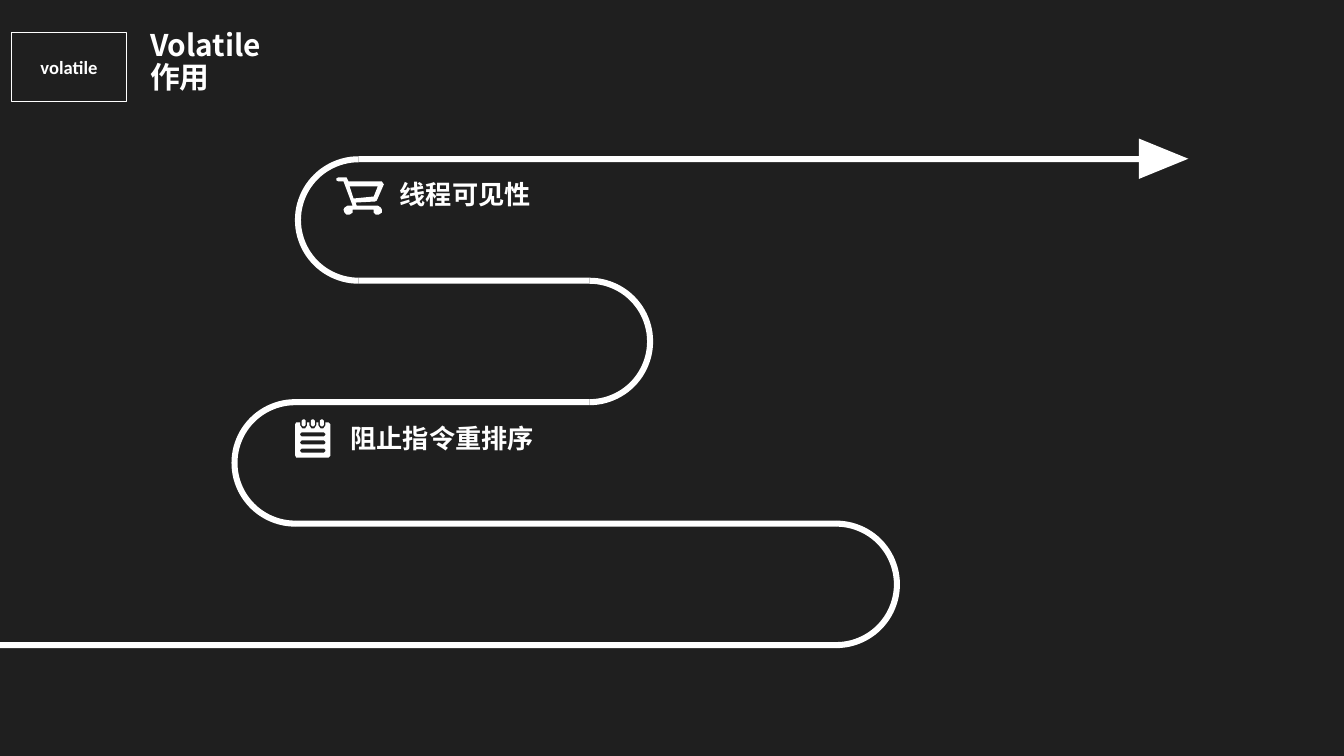
from math import cos, pi, sin

from pptx import Presentation
from pptx.dml.color import RGBColor
from pptx.enum.shapes import MSO_SHAPE as SHAPE
from pptx.enum.text import MSO_ANCHOR as ANCHOR, MSO_AUTO_SIZE as AUTO, PP_ALIGN as ALIGN
from pptx.oxml.ns import qn
from pptx.util import Inches, Pt

WHITE, DARK = "FFFFFF", "1F1F1F"
BAND = 0.06                                # thickness of the road
ROW_TOP, ROW_PITCH = 1.55, (6.37 - 1.55) / 4
ROAD_X = [11.37, 3.56, 5.85, 2.93, 8.3, 0]  # row ends, from the arrow back to the start


def rgb(value):
    return RGBColor.from_string(value)


def paint(s, color):
    s.shadow.inherit = False
    s.fill.solid()
    s.fill.fore_color.rgb = rgb(color)
    s.line.fill.background()


def add_run(p, text, size, font):
    r = p.add_run()
    r.text = text
    r.font.size, r.font.bold, r.font.name = Pt(size), True, font
    r.font.color.rgb = rgb(WHITE)
    ea = r.font._element.makeelement(qn("a:ea"), {"typeface": font})
    r.font._element.find(qn("a:latin")).addnext(ea)


def set_margins(tf):
    tf.margin_left = tf.margin_right = Inches(0.13)
    tf.margin_top = tf.margin_bottom = Inches(0.07)
    tf.vertical_anchor = ANCHOR.MIDDLE


def add_title(slide):
    sp = slide.shapes.title
    sp.left, sp.top, sp.width, sp.height = map(Inches, (1.36, 0.16, 3.15, 0.92))
    tf = sp.text_frame
    tf.word_wrap, tf.auto_size = True, AUTO.NONE
    set_margins(tf)
    for p, text in zip((tf.paragraphs[0], tf.add_paragraph()), ("Volatile", "作用")):
        p.alignment, p.line_spacing = ALIGN.LEFT, 0.9
        p.space_before = Pt(0)
        add_run(p, text, 21.3, "Noto Sans CJK SC")


def add_badge(slide):
    s = slide.shapes.add_shape(SHAPE.RECTANGLE, *map(Inches, (0.11, 0.32, 1.15, 0.69)))
    s.shadow.inherit = False
    s.fill.background()
    s.line.color.rgb, s.line.width = rgb(WHITE), Pt(0.75)
    set_margins(s.text_frame)
    p = s.text_frame.paragraphs[0]
    p.alignment = ALIGN.CENTER
    add_run(p, "volatile", 13.3, "Calibri")


def add_label(slide, left, top, width, text):
    s = slide.shapes.add_textbox(*map(Inches, (left, top, width, 0.42)))
    s.text_frame.word_wrap = True
    add_run(s.text_frame.paragraphs[0], text, 18.7, "League Spartan")


def add_outline(slide, *contours):
    """One white shape; contours inside another are holes."""
    builder = None
    for contour in contours:
        points = [(Inches(x), Inches(y)) for x, y in contour]
        if builder is None:
            builder = slide.shapes.build_freeform(*points[0])
        else:
            builder.move_to(*points[0])
        builder.add_line_segments(points[1:], close=True)
    paint(builder.convert_to_shape(), WHITE)


def add_turn(slide, x, top, side):
    """Half ring joining a row to the next; side is -1 for left, 1 for right."""
    outer = (ROW_PITCH + BAND) / 2
    steps = 48

    def arc(radius):
        angles = [pi * i / steps - pi / 2 for i in range(steps + 1)]
        return [(x + side * radius * cos(a), top + outer + radius * sin(a)) for a in angles]

    add_outline(slide, arc(outer) + arc(outer - BAND)[::-1])


def add_road(slide):
    for i, (start, end) in enumerate(zip(ROAD_X, ROAD_X[1:])):
        top = ROW_TOP + i * ROW_PITCH
        left, width = min(start, end), abs(start - end)
        row = slide.shapes.add_shape(SHAPE.RECTANGLE, *map(Inches, (left, top, width, BAND)))
        paint(row, WHITE)
        if i < len(ROAD_X) - 2:
            add_turn(slide, end, top, 1 if i % 2 else -1)
    head = slide.shapes.add_shape(SHAPE.ISOSCELES_TRIANGLE,
                                  *map(Inches, (11.35, 1.33, 0.4, 0.49)))
    head.rotation = 90
    paint(head, WHITE)


def add_cart(slide):
    basket = [(3.47, 1.85), (3.51, 1.97), (3.71, 1.95), (3.75, 1.85)]
    frame = [(3.36, 1.76), (3.44, 1.76), (3.46, 1.8), (3.79, 1.8), (3.81, 1.83),
             (3.74, 1.99), (3.72, 2), (3.53, 2.01), (3.54, 2.04)]
    right_wheel = [(3.75, 2.04), (3.78, 2.06), (3.79, 2.08), (3.79, 2.11), (3.76, 2.13),
                   (3.73, 2.13), (3.71, 2.11), (3.71, 2.08)]
    left_wheel = [(3.5, 2.08), (3.5, 2.11), (3.47, 2.13), (3.44, 2.13), (3.42, 2.11),
                  (3.41, 2.08), (3.42, 2.06), (3.45, 2.04)]
    handle = [(3.5, 2.04), (3.41, 1.8), (3.36, 1.8), (3.34, 1.79), (3.34, 1.77)]
    add_outline(slide, frame + right_wheel + left_wheel + handle, basket)


def pill(left, top, width, height):
    """Rectangle with cut corners."""
    right, bottom, cut = left + width, top + height, min(width, height) / 3
    return [(left + cut, top), (right - cut, top), (right, top + cut), (right, bottom - cut),
            (right - cut, bottom), (left + cut, bottom), (left, bottom - cut), (left, top + cut)]


def add_notepad(slide):
    page, rings = [(2.94, 4.19)], []
    for left in (2.98, 3.07, 3.16):
        page += [(left, 4.19), (left, 4.22), (left + 0.02, 4.25), (left + 0.05, 4.25),
                 (left + 0.07, 4.22), (left + 0.07, 4.19)]
        rings.append(pill(left + 0.07 / 2 - 0.02, 4.16, 0.04, 0.07))
    page += [(3.26, 4.19), (3.28, 4.21), (3.28, 4.52), (3.26, 4.54),
             (2.94, 4.54), (2.93, 4.52), (2.93, 4.21)]
    text_lines = [pill(2.98, top, 0.25, 0.04) for top in (4.29, 4.37, 4.45)]
    add_outline(slide, page, *text_lines, *rings)


def main():
    prs = Presentation()
    prs.slide_width, prs.slide_height = Inches(13.34), Inches(7.5)
    slide = prs.slides.add_slide(prs.slide_layouts[5])
    slide.background.fill.solid()
    slide.background.fill.fore_color.rgb = rgb(DARK)

    # Heading
    add_title(slide)
    add_badge(slide)

    # Winding road with its arrowhead
    add_road(slide)

    # Stops along the road
    add_label(slide, 3.87, 1.72, 1.79, "线程可见性")
    add_cart(slide)
    add_label(slide, 3.38, 4.14, 3.11, "阻止指令重排序")
    add_notepad(slide)

    prs.save("out.pptx")


if __name__ == "__main__":
    main()
